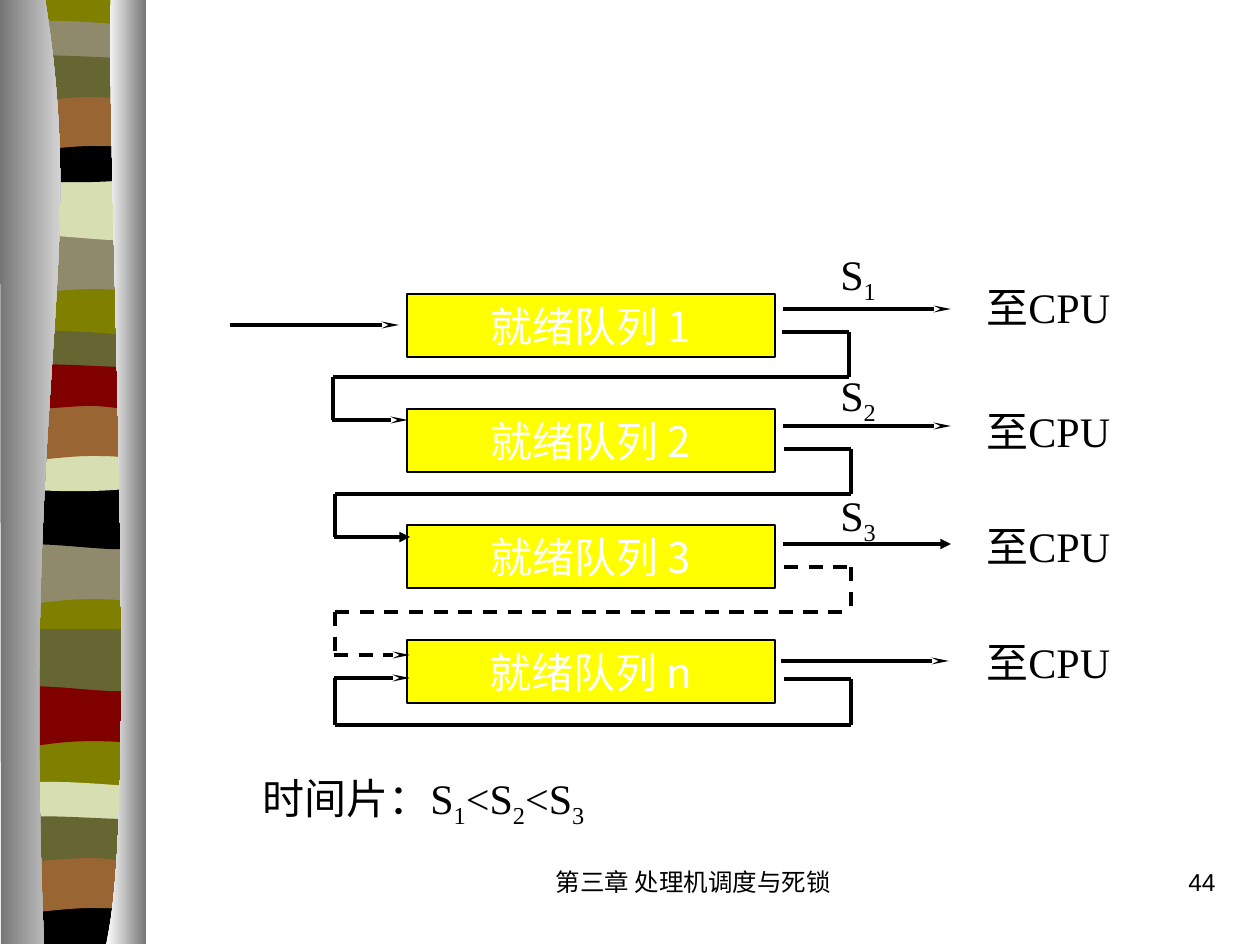
from lxml.etree import SubElement
from pptx import Presentation
from pptx.dml.color import RGBColor
from pptx.enum.dml import MSO_LINE
from pptx.enum.shapes import MSO_CONNECTOR, MSO_SHAPE
from pptx.enum.text import MSO_ANCHOR, PP_ALIGN
from pptx.oxml.ns import qn
from pptx.util import Pt

PX = 914400 / 126
CJK = "Noto Sans CJK SC"
SERIF = "Times New Roman"

STRIP = [(136, 0), (136, 942), (0, 942), (0, 0)]
SLANT = [(136, 0), (136, 59), (41, 49, 23, 69, 0, 59), (0, 0)]
SWELL = [(136, 0), (136, 59), (113, 69, 42, 52, 0, 59), (0, 0)]
RIBBON = [(136, 6), (136, 37), (113, 42, 23, 42, 0, 37), (0, 6),
          (8, 0, 29, 1, 52, 1), (74, 1, 118, 5, 136, 6)]
SAG = [(136, 0), (136, 41), (113, 48, 23, 48, 0, 41), (0, 0), (83, 6, 107, 0, 136, 0)]
ARCH = [(136, 0), (136, 59), (115, 53, 106, 53, 83, 53), (60, 53, 20, 59, 0, 59), (0, 0)]
WAVE = [(136, 6), (136, 45), (127, 52, 106, 45, 83, 45), (60, 45, 14, 52, 0, 45),
        (0, 6), (19, 0, 92, 6, 115, 6), (137, 6, 131, 6, 136, 6)]
FOOT = [(136, 0), (136, 47), (0, 47), (0, 0), (83, 6, 107, 0, 136, 0)]
LEFT_PILLAR = [(45, 0), (89, 273, 21, 374, 44, 945), (1, 945), (0, 0)]
RIGHT_PILLAR = [(111, 0), (106, 159, 140, 815, 106, 945), (146, 945), (146, 1)]

BANDS = [
    (STRIP, 8, -1, "808000"),
    (SLANT, 8, 233, "908A6C"), (SWELL, 8, 178, "D6DEB2"), (RIBBON, 8, 20, "908A6C"),
    (SAG, 8, 136, "000000"), (ARCH, 8, 93, "996633"), (WAVE, 8, 52, "666633"),
    (SLANT, 7, 543, "908A6C"), (SWELL, 7, 487, "000000"), (RIBBON, 7, 330, "666633"),
    (SAG, 7, 445, "D6DEB2"), (ARCH, 7, 403, "996633"), (WAVE, 7, 361, "800000"),
    (SLANT, 8, 685, "800000"), (SWELL, 8, 629, "666633"), (RIBBON, 7, 781, "D6DEB2"),
    (FOOT, 7, 897, "000000"), (ARCH, 7, 855, "996633"), (WAVE, 7, 813, "666633"),
]


def px(length):
    """Turn a length in px into EMU."""
    return round(length * PX)


def color(value):
    """Turn a hex string into a colour."""
    return RGBColor.from_string(value)


def add_outline(slide, outline, left, top):
    """Draw a closed freeform whose six-number segments are cubic curves."""
    points = [(px(left + x), px(top + y)) for segment in outline
              for x, y in zip(segment[::2], segment[1::2])]
    builder = slide.shapes.build_freeform(*points[0])
    builder.add_line_segments(points[1:])
    outlined = builder.convert_to_shape()
    edges = iter(list(outlined._element.iter(qn("a:lnTo"))))
    for segment in outline[1:]:
        edge = next(edges)
        if len(segment) == 6:
            edge.tag = qn("a:cubicBezTo")
            for _ in range(2):
                extra = next(edges)
                edge.append(extra[0])
                extra.getparent().remove(extra)
    outlined.shadow.inherit = False
    outlined.line.fill.background()
    return outlined


def add_band(slide, outline, left, top, fill):
    """Draw one coloured band of the side strip."""
    band = add_outline(slide, outline, left, top)
    band.fill.solid()
    band.fill.fore_color.rgb = color(fill)


def add_pillar(slide, outline, shades):
    """Draw a pillar shaded from left to right."""
    pillar = add_outline(slide, outline, 0, -1)
    pillar.fill.gradient()
    pillar.fill.gradient_angle = 0
    for stop, shade in zip(pillar.fill.gradient_stops, shades):
        stop.color.rgb = color(shade)


def style_run(run, size, font, ink):
    """Format a run, with a font for Chinese characters too."""
    run.font.size = Pt(size)
    run.font.name = font
    run.font.color.rgb = color(ink)
    SubElement(run.font._element, qn("a:ea")).set("typeface", CJK)


def add_queue(slide, top, caption):
    """Draw a ready queue."""
    queue = slide.shapes.add_shape(MSO_SHAPE.RECTANGLE, px(407), px(top), px(368), px(63))
    queue.shadow.inherit = False
    queue.fill.solid()
    queue.fill.fore_color.rgb = color("FFFF00")
    queue.line.color.rgb = color("000000")
    queue.line.width = Pt(1)
    frame = queue.text_frame
    frame.text = caption
    frame.word_wrap = False
    frame.vertical_anchor = MSO_ANCHOR.MIDDLE
    frame.paragraphs[0].alignment = PP_ALIGN.CENTER
    style_run(frame.paragraphs[0].runs[0], 24, CJK, "FFFFFF")


def add_label(slide, box, parts, size=24, font=SERIF, align=PP_ALIGN.LEFT):
    """Write a label in which every second part is a subscript."""
    label = slide.shapes.add_textbox(*map(px, box))
    label.text_frame.word_wrap = True
    paragraph = label.text_frame.paragraphs[0]
    paragraph.alignment = align
    for index, part in enumerate(parts):
        run = paragraph.add_run()
        run.text = part
        style_run(run, size, font, "000000")
        if index % 2:
            run.font._element.set("baseline", "-25000")


def add_link(slide, start, end, head=None, dashed=False):
    """Draw a straight line, with an arrowhead if one is named."""
    link = slide.shapes.add_connector(MSO_CONNECTOR.STRAIGHT, *map(px, start + end))
    link.line.color.rgb = color("000000")
    link.line.width = Pt(2)
    if dashed:
        link.line.dash_style = MSO_LINE.DASH
    if head:
        tip = SubElement(link.line._get_or_add_ln(), qn("a:tailEnd"))
        tip.set("type", head)
        if head == "stealth":
            tip.set("w", "sm")
            tip.set("len", "lg")
    SubElement(link._element.spPr, qn("a:effectLst"))


def add_feedback(slide, shift, exit_y, return_y, entry_y, head, dashed):
    """Draw the route from the end of one queue to the start of a queue."""
    left, right = 335 + shift, 851 + shift
    add_link(slide, (784 + shift, exit_y), (right, exit_y), None, dashed)
    add_link(slide, (right, exit_y), (right, return_y), None, dashed)
    add_link(slide, (left, return_y), (right, return_y), None, dashed)
    add_link(slide, (left - 1, entry_y), (410 + shift, entry_y), head, dashed)
    add_link(slide, (left, return_y), (left, entry_y), None, dashed)


def main():
    """Build the slide on multilevel feedback queues."""
    deck = Presentation()
    deck.slide_width, deck.slide_height = px(1260), px(945)
    slide = deck.slides.add_slide(deck.slide_layouts[6])

    for band in BANDS:
        add_band(slide, *band)
    add_pillar(slide, LEFT_PILLAR, ("767676", "FFFFFF"))
    add_pillar(slide, RIGHT_PILLAR, ("FFFFFF", "767676"))

    queue_names = "123n"
    for level, name in enumerate(queue_names):
        add_queue(slide, 294 + level * 231 // 2, f"就绪队列 {name}")

    add_link(slide, (230, 325), (399, 325), "stealth")
    for level, name in enumerate(queue_names):
        out_y = 309 + level * 235 // 2
        out_shift = -2 if name == "n" else 0
        out_head = "triangle" if level == 2 else "stealth"
        add_link(slide, (783 + out_shift, out_y), (951 + out_shift, out_y), out_head)
        if name == "n":
            add_feedback(slide, 0, 679, 725, 678, "stealth", False)
        else:
            entry_head = "triangle" if level == 1 else "stealth"
            add_feedback(slide, -2 if level == 0 else 0, out_y + 23, out_y + 68,
                         out_y + 111, entry_head, level == 2)
            add_label(slide, (828, 242 + (level * 241 + 1) // 2, 73, 71), ["S", name])

    for cpu_top in (630, 514, 399, 275):
        add_label(slide, (974, cpu_top, 158, 113), ["至CPU"])
    add_label(slide, (250, 766, 378, 71), ["时间片：S", "1", "<S", "2", "<S", "3"])
    add_label(slide, (494, 861, 399, 63), ["第三章 处理机调度与死锁"], 14, "Arial", PP_ALIGN.CENTER)
    add_label(slide, (966, 861, 262, 63), ["44"], 14, "Arial", PP_ALIGN.RIGHT)
    deck.save("out.pptx")


if __name__ == "__main__":
    main()
